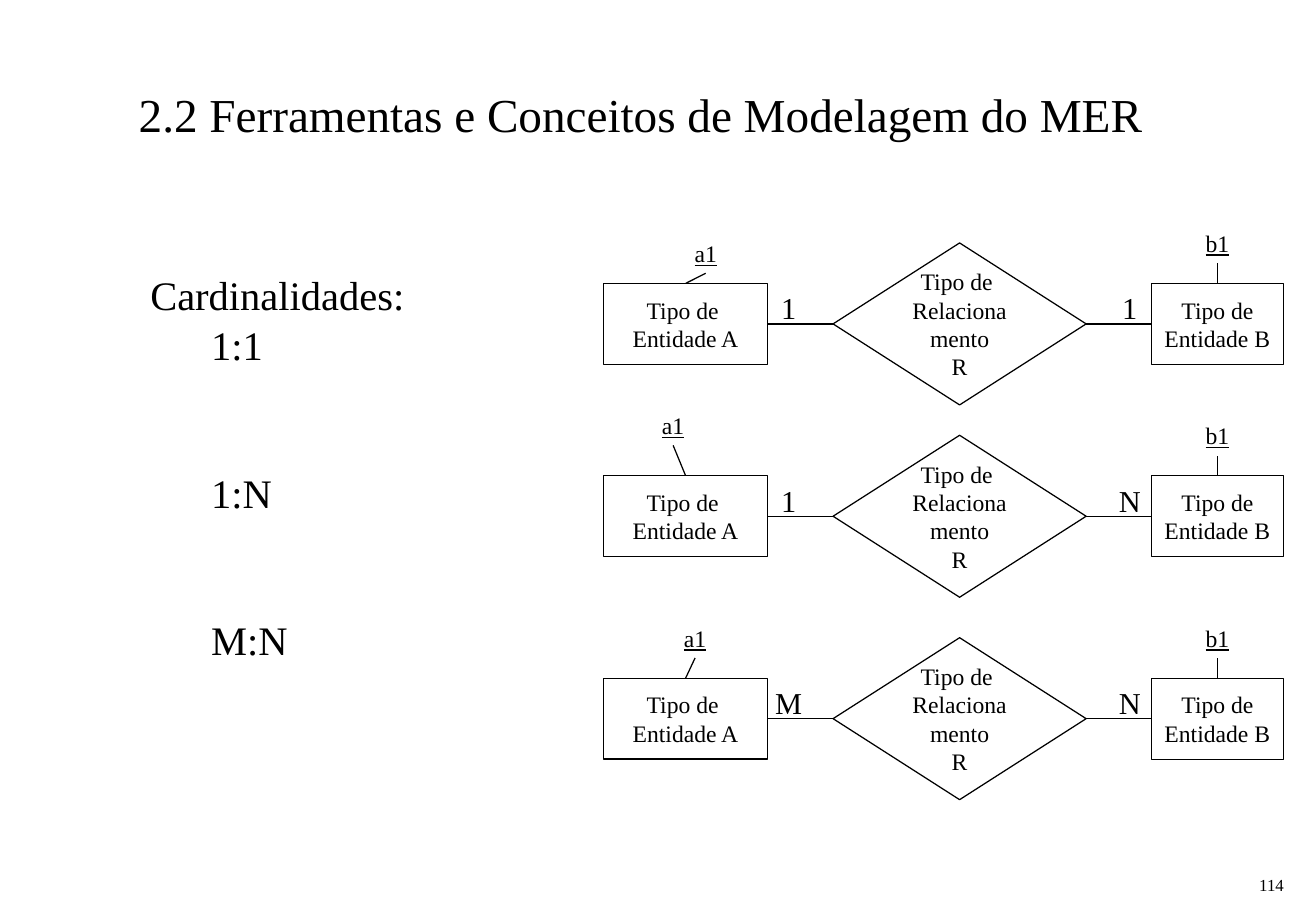
from lxml.etree import SubElement
from pptx import Presentation
from pptx.dml.color import RGBColor
from pptx.enum.shapes import MSO_CONNECTOR, MSO_SHAPE
from pptx.enum.text import MSO_ANCHOR, PP_ALIGN
from pptx.oxml.ns import qn
from pptx.util import Pt

COLORS = {"ink": "000000", "paper": "FFFFFF"}
FONT = "Times New Roman"
INK = RGBColor.from_string(COLORS["ink"])

# Each row: centre y, a1 centre x, a1 top, cardinality of A, cardinality of B
ROWS = [
    (192, 418.3, 138, "1", "1"),
    (306, 399, 240, "1", "N"),
    (426, 412, 366, "M", "N"),
]


def write(s, lines, size, align=PP_ALIGN.CENTER, anchor=MSO_ANCHOR.MIDDLE,
          wrap=True, underline=None):
    tf = s.text_frame
    tf.word_wrap = wrap
    tf.vertical_anchor = anchor
    for i, line in enumerate(lines):
        p = tf.paragraphs[0] if i == 0 else tf.add_paragraph()
        p.text = line
        p.alignment = align
        p.font.name = FONT
        p.font.size = Pt(size)
        p.font.color.rgb = INK
        p.font.underline = underline
    return tf


def add_text(slide, x, y, w, h, lines, size, **style):
    s = slide.shapes.add_textbox(Pt(x), Pt(y), Pt(w), Pt(h))
    return write(s, lines, size, **style)


def add_node(slide, kind, x, cy, w, h, lines):
    s = slide.shapes.add_shape(kind, Pt(x), Pt(cy - h / 2), Pt(w), Pt(h))
    s.shadow.inherit = False
    s.fill.background()
    s.line.color.rgb = INK
    s.line.width = Pt(0.75)
    write(s, lines, 14)


def add_link(slide, x1, y1, x2, y2):
    c = slide.shapes.add_connector(
        MSO_CONNECTOR.STRAIGHT, Pt(x1), Pt(y1), Pt(x2), Pt(y2))
    c.line.color.rgb = INK
    c.line.width = Pt(0.75)
    SubElement(c._element.spPr, qn("a:effectLst"))


def add_title(slide, x, y, w, h):
    s = slide.shapes.title
    s.left, s.top, s.width, s.height = Pt(x), Pt(y), Pt(w), Pt(h)
    write(s, ["2.2 Ferramentas e Conceitos de Modelagem do MER"], 28,
          align=PP_ALIGN.LEFT)


def add_cardinalities(slide, x, y, w, h):
    tf = add_text(slide, x, y, w, h, ["Cardinalidades:", "1:1", "1:N", "M:N"],
                  24, align=PP_ALIGN.LEFT, anchor=MSO_ANCHOR.TOP)
    for p, gap in zip(tf.paragraphs[1:], (1.4, 58.6, 58.6)):
        p.level = 1
        p.space_before = Pt(gap)
        pPr = p._p.get_or_add_pPr()
        pPr.set("marL", str(Pt(36)))
        pPr.set("indent", "0")


def add_relationship(slide, x, cy, a1_x, a1_top, card_a, card_b):
    """Entity A, relationship and entity B, from x along the line cy."""
    a_w, gap, rel_w, b_w, h = 97.2, 38.8, 150, 78, 48
    rel_x = x + a_w + gap
    b_x = rel_x + rel_w + gap
    top = cy - h / 2

    # Entities and relationship
    add_node(slide, MSO_SHAPE.RECTANGLE, x, cy, a_w, h,
             ["Tipo de ", "Entidade A"])
    add_node(slide, MSO_SHAPE.FLOWCHART_DECISION, rel_x, cy, rel_w, 2 * h,
             ["Tipo de ", "Relacionamento", "R"])
    add_node(slide, MSO_SHAPE.FLOWCHART_PROCESS, b_x, cy, b_w, h,
             ["Tipo de", "Entidade B"])
    add_link(slide, rel_x, cy, x + a_w, cy)
    add_link(slide, rel_x + rel_w, cy, b_x, cy)

    # Key attributes
    key_w, key_h = 30, 24
    b_mid = b_x + b_w / 2
    for name, key_x, key_top, node_x in (
            ("a1", a1_x, a1_top, x + a_w / 2),
            ("b1", b_mid, cy - 60, b_mid)):
        add_text(slide, key_x - key_w / 2, key_top, key_w, key_h, [name], 14,
                 wrap=False, underline=True)
        add_link(slide, node_x, top, key_x, key_top + key_h)

    # Cardinalities
    card_w = 32
    for card, mid in ((card_a, x + a_w + 12.5), (card_b, b_x - 13)):
        add_text(slide, mid - card_w / 2, top, card_w, 28.8, [card], 18,
                 wrap=False)


def main():
    prs = Presentation()
    prs.slide_width, prs.slide_height = Pt(780), Pt(540)
    slide = prs.slides.add_slide(prs.slide_layouts[5])
    slide.background.fill.solid()
    slide.background.fill.fore_color.rgb = RGBColor.from_string(COLORS["paper"])

    add_title(slide, 75, 22.5, 663, 90)
    add_cardinalities(slide, 82, 156.25, 289, 324)
    for row in ROWS:
        add_relationship(slide, 357.8, *row)
    # Page number
    add_text(slide, 737, 505, 31, 28.8, ["114"], 10, align=PP_ALIGN.RIGHT,
             anchor=MSO_ANCHOR.BOTTOM)
    prs.save("out.pptx")


if __name__ == "__main__":
    main()
